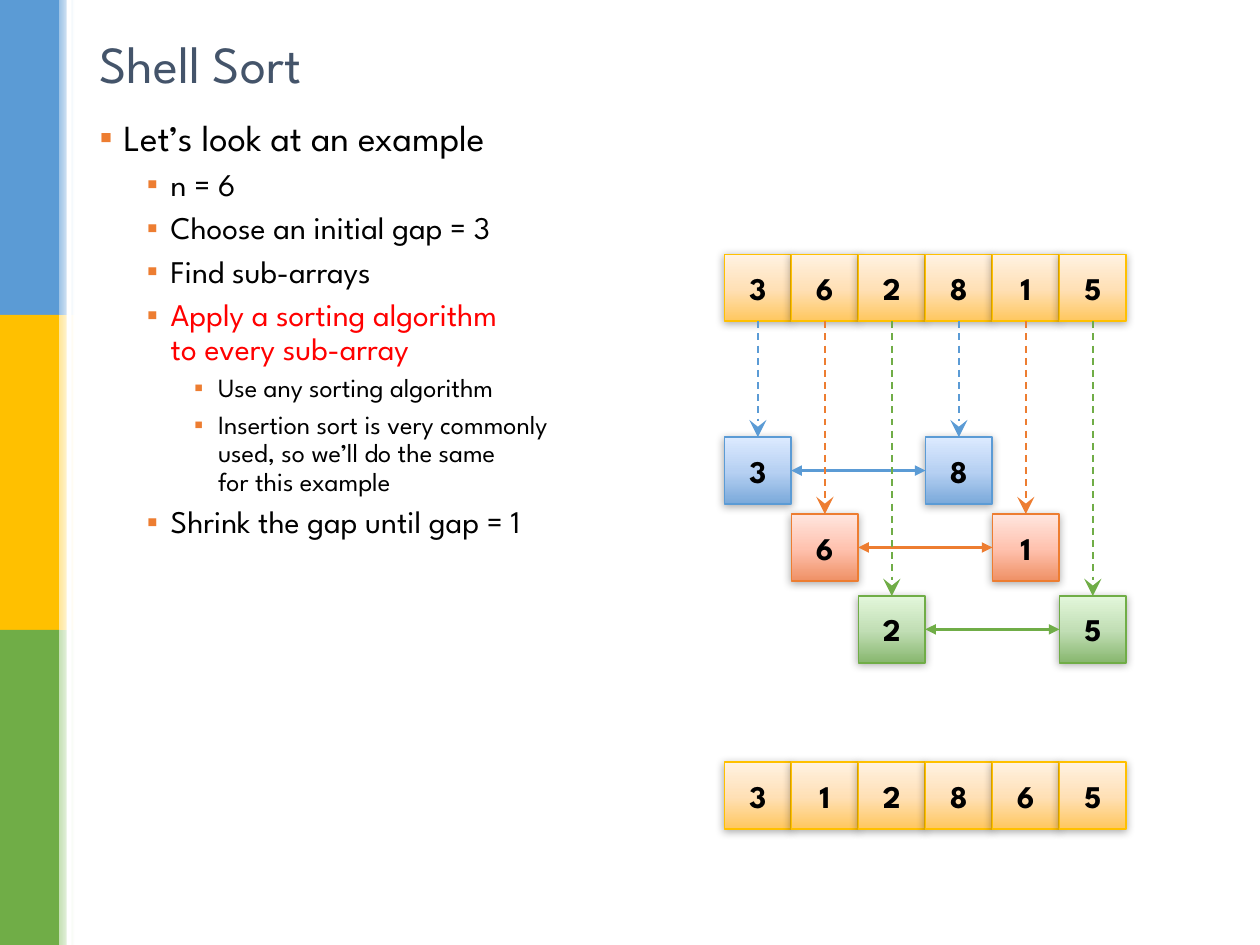
from copy import deepcopy

from lxml.etree import SubElement
from pptx import Presentation
from pptx.dml.color import RGBColor
from pptx.enum.dml import MSO_LINE
from pptx.enum.shapes import MSO_CONNECTOR, MSO_SHAPE
from pptx.enum.text import MSO_ANCHOR, MSO_AUTO_SIZE, PP_ALIGN
from pptx.oxml.ns import qn
from pptx.util import Inches, Pt

RECT = MSO_SHAPE.RECTANGLE
STRAIGHT = MSO_CONNECTOR.STRAIGHT
DASH = MSO_LINE.DASH
MIDDLE, TOP = MSO_ANCHOR.MIDDLE, MSO_ANCHOR.TOP
CENTER, LEFT = PP_ALIGN.CENTER, PP_ALIGN.LEFT
NO_FIT = MSO_AUTO_SIZE.NONE

FONT = "League Spartan"
COLORS = {
    "blue": "5B9BD5", "gold": "FFC000", "green": "70AD47", "orange": "ED7D31",
    "title": "44546A", "black": "000000", "red": "FF0000", "white": "FFFFFF",
}
SHADES = {
    "gold": ("FFC75E", "FFE0B6", "FFF2E2"),
    "blue": ("7AA9DA", "B6D0F2", "DCEAFF"),
    "orange": ("EF9166", "FFC2AF", "FFE6DF"),
    "green": ("88B76F", "C1DEB5", "E3F7DB"),
}
BANDS = [("blue", "9DC3E6"), ("gold", "FFE699"), ("green", "C5E0B4")]
SIZES = (21, 18, 15)
POINTS = [
    (0, "Let’s look at an example", "black"),
    (1, "n = 6", "black"),
    (1, "Choose an initial gap = 3", "black"),
    (1, "Find sub-arrays", "black"),
    (1, "Apply a sorting algorithm\nto every sub-array", "red"),
    (2, "Use any sorting algorithm", "black"),
    (2, "Insertion sort is very commonly\nused, so we’ll do the same \nfor this example", "black"),
    (1, "Shrink the gap until gap = 1", "black"),
]
START = (3, 6, 2, 8, 1, 5)
RESULT = (3, 1, 2, 8, 6, 5)
GAP = 3
SIDE = 0.53
STEP = 3.19 / 6
GROUPS = [("blue", 1.45), ("orange", 2.06), ("green", 2.71)]


def rgb(name):
    """Return the named colour."""
    return RGBColor.from_string(COLORS[name])


def assign(item, values):
    """Set each attribute in values on item."""
    for key, value in values.items():
        setattr(item, key, value)


def style(para, size, color, bold=False):
    """Format every run and line break of a paragraph."""
    for run in para.runs:
        assign(run.font, {"name": FONT, "size": Pt(size), "bold": bold})
        run.font.color.rgb = rgb(color)
    for gap in para._p.findall(qn("a:br")):
        gap.insert(0, deepcopy(para.runs[0]._r.rPr))


def place(shape, box):
    """Move a shape to a box given in inches."""
    keys = ("left", "top", "width", "height")
    assign(shape, dict(zip(keys, map(Inches, box))))


def blend(shape, stops, angle):
    """Fill a shape with a gradient of (percent, hex) stops."""
    shape.fill.gradient()
    shape.fill.gradient_angle = angle
    ramp = shape._element.spPr.find(qn("a:gradFill")).find(qn("a:gsLst"))
    ramp.clear()
    for spot, color in stops:
        stop = SubElement(ramp, qn("a:gs"), pos=str(spot * 1000))
        SubElement(stop, qn("a:srgbClr"), val=color)


def block(slide, box, color=None):
    """Add a rectangle without outline or shadow."""
    shape = slide.shapes.add_shape(RECT, *map(Inches, box))
    shape.shadow.inherit = False
    shape.line.fill.background()
    if color:
        shape.fill.solid()
        shape.fill.fore_color.rgb = rgb(color)
    return shape


def sidebar(slide, box):
    """Draw the coloured bands with their fading edges."""
    left, top, width, height = box
    part = height / len(BANDS)
    solid = 0.47
    for index, (color, tint) in enumerate(BANDS):
        y = top + index * part
        block(slide, (left, y, solid, part), color)
        edge = block(slide, (left + solid, y, width - solid, part))
        blend(edge, [(0, tint), (100, COLORS["white"])], 0)
    block(slide, (left + 0.53, top, 0.04, height), "white")


def heading(slide, box):
    """Fill the title placeholder."""
    title = slide.shapes.title
    place(title, box)
    frame = title.text_frame
    frame.text = "Shell Sort"
    assign(frame, {"vertical_anchor": MIDDLE, "auto_size": NO_FIT})
    frame.paragraphs[0].alignment = LEFT
    style(frame.paragraphs[0], 29.7, "title")


def outline(slide, box):
    """Fill the body placeholder with the bulleted steps."""
    body = slide.placeholders[1]
    place(body, box)
    frame = body.text_frame
    assign(frame, {"vertical_anchor": TOP, "auto_size": NO_FIT, "word_wrap": True})
    for index, (level, text, color) in enumerate(POINTS):
        para = frame.add_paragraph() if index else frame.paragraphs[0]
        size = SIZES[level]
        assign(para, {"text": text, "level": level, "line_spacing": 0.9,
                      "space_before": Pt(size * 0.3), "space_after": Pt(0)})
        style(para, size, color)
        props = para._p.get_or_add_pPr()
        props.set("marL", str(Inches(0.19 + 0.375 * level)))
        props.set("indent", str(Inches(-0.19)))
        tint = SubElement(props, qn("a:buClr"))
        SubElement(tint, qn("a:srgbClr"), val=COLORS["orange"])
        SubElement(props, qn("a:buFont"), typeface="Arial")
        SubElement(props, qn("a:buChar"), char="▪")


def cell(slide, left, top, value, color):
    """Draw one array element."""
    shape = block(slide, (left, top, SIDE, SIDE))
    blend(shape, zip((0, 48, 100), SHADES[color]), 90)
    shape.line.color.rgb = rgb(color)
    shape.line.width = Pt(1)
    effects = shape._element.spPr.find(qn("a:effectLst"))
    shade = SubElement(effects, qn("a:outerShdw"), blurRad=str(Pt(5)),
                       dist=str(Pt(1)), dir="5400000", rotWithShape="0")
    tone = SubElement(shade, qn("a:srgbClr"), val=COLORS["black"])
    SubElement(tone, qn("a:alpha"), val="32000")
    frame = shape.text_frame
    frame.text = str(value)
    frame.vertical_anchor = MIDDLE
    frame.paragraphs[0].alignment = CENTER
    style(frame.paragraphs[0], 18, "black", True)


def arrow(slide, ends, color, width, heads, dash=None):
    """Draw a line between two points with the given arrowheads."""
    line = slide.shapes.add_connector(STRAIGHT, *map(Inches, ends))
    line.line.color.rgb = rgb(color)
    assign(line.line, {"width": Pt(width), "dash_style": dash})
    props = line._element.spPr
    for tag, kind, size in heads:
        SubElement(props.find(qn("a:ln")), qn(tag), type=kind, w=size, len=size)
    SubElement(props, qn("a:effectLst"))


def row(slide, left, top, values):
    """Draw a whole array as adjoining cells."""
    for index, value in enumerate(values):
        cell(slide, left + index * STEP, top, value, "gold")


def split(slide, left, top):
    """Draw the sub-arrays below the array they come from."""
    half = SIDE / 2
    both = [("a:headEnd", "triangle", "med"), ("a:tailEnd", "triangle", "med")]
    for first, (color, drop) in enumerate(GROUPS):
        y = top + drop
        for index in range(first, len(START), GAP):
            x = left + index * STEP
            cell(slide, x, y, START[index], color)
            arrow(slide, (x + half, top + SIDE, x + half, y), color, 1,
                  [("a:tailEnd", "stealth", "lg")], DASH)
        x = left + first * STEP
        arrow(slide, (x + SIDE, y + half, x + GAP * STEP, y + half), color, 2, both)


def main():
    """Build and save the slide."""
    deck = Presentation()
    assign(deck, {"slide_width": Inches(10), "slide_height": Inches(7.5)})
    slide = deck.slides.add_slide(deck.slide_layouts[1])
    sidebar(slide, (0, 0, 0.59, 7.5))
    heading(slide, (0.69, 0.21, 8.62, 0.58))
    outline(slide, (0.69, 0.9, 8.62, 6.24))
    row(slide, 5.75, 2.02, START)
    split(slide, 5.75, 2.02)
    row(slide, 5.75, 6.05, RESULT)
    deck.save("out.pptx")


if __name__ == "__main__":
    main()
